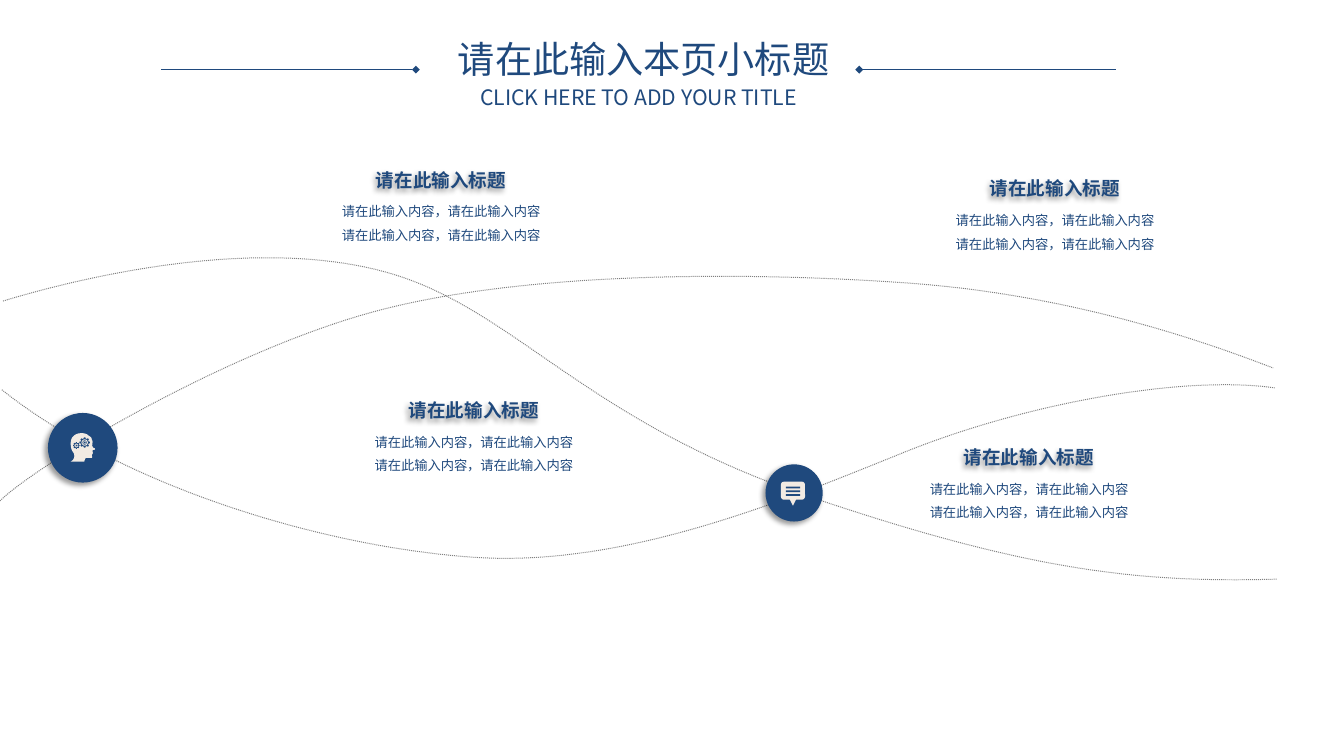
from math import cos, pi, sin

from lxml.etree import SubElement
from pptx import Presentation
from pptx.dml.color import RGBColor
from pptx.enum.dml import MSO_LINE
from pptx.enum.shapes import MSO_CONNECTOR, MSO_SHAPE
from pptx.enum.text import MSO_ANCHOR, PP_ALIGN
from pptx.oxml.ns import qn
from pptx.util import Cm, Pt

NAVY = RGBColor(0x1F, 0x49, 0x7D)
GRAY = RGBColor(0x80, 0x80, 0x80)
CREAM = RGBColor(0xF2, 0xEB, 0xE3)
CJK_FONT = "Noto Sans CJK SC"

# All lengths are in centimetres.
SLIDE_SIZE = (35.71, 20.09)
TITLE = "请在此输入本页小标题"
SUBTITLE = "CLICK HERE TO ADD YOUR TITLE"
TITLE_RULES = [(11.05, 4.27), (22.83, 29.64)]  # diamond end, plain end
RULE_Y = 1.85

HEADING = "请在此输入标题"
BODY = ["请在此输入内容，请在此输入内容"] * 2
TOPICS = [(12.59, 10.54), (11.72, 4.42), (28.03, 4.65), (27.34, 11.79)]  # centre x, top

# Each curve is a start point followed by (control, control, end) triples.
WAVES = [
    [(0.05, 10.36), (3.28, 12.93), (8.56, 14.53), (12.57, 14.81),
     (16.59, 15.09), (20.83, 13.31), (24.05, 12.01),
     (27.25, 10.72), (31.45, 9.96), (33.88, 10.31)],
    [(0.08, 8), (1.93, 7.44), (6.43, 6.3), (9.98, 7.16),
     (13.51, 8), (15.29, 11.05), (21.31, 13.13),
     (27.33, 15.19), (30.28, 15.49), (33.93, 15.39)],
    [(0, 13.31), (1.07, 12.27), (6.43, 9.09), (10.46, 8.15),
     (14.48, 7.19), (20.19, 7.24), (24.1, 7.52),
     (27.99, 7.8), (31.27, 8.79), (33.83, 9.78)],
]
NODES = [(2.2, 11.9, 1.85), (21.1, 13.1, 1.52)]  # centre x, centre y, diameter

HEAD = [
    (2.51, 11.91), (2.49, 11.91), (2.46, 11.89), (2.46, 11.86),
    (2.44, 11.84), (2.46, 11.81), (2.46, 11.76),
    (2.46, 11.73), (2.46, 11.71), (2.44, 11.68),
    (2.44, 11.63), (2.41, 11.61), (2.36, 11.58),
    (2.31, 11.53), (2.24, 11.51), (2.16, 11.51),
    (2.01, 11.51), (1.88, 11.61), (1.88, 11.76),
    (1.88, 11.86), (1.88, 11.94), (1.96, 12.04),
    (1.96, 12.04), (2.03, 12.19), (1.88, 12.27),
    (1.88, 12.27), (2.24, 12.27), (2.24, 12.27),
    (2.24, 12.27), (2.26, 12.17), (2.29, 12.17),
    (2.34, 12.17), (2.38, 12.17), (2.44, 12.17),
    (2.46, 12.17), (2.44, 12.09), (2.44, 12.09),
    (2.46, 12.07), (2.48, 12.04), (2.46, 12.01),
    (2.46, 11.99), (2.46, 11.96), (2.46, 11.96),
    (2.57, 11.96), (2.51, 11.91), (2.51, 11.91),
]
GEARS = [(2.25, 11.76, 0.14, (0.085, 0.04)), (2.03, 11.84, 0.09, (0.05, 0.03))]
BUBBLE = (20.75, 12.8, 0.64, 0.48)
BUBBLE_TAIL = [(20.98, 13.26), (21.16, 13.26), (21.07, 13.44)]
BUBBLE_BARS = [(20.88, 12.93 + 0.1 * row, 0.38, 0.05) for row in range(3)]


def trace_curve(points, steps):
    """Return points along a chain of cubic Bezier curves."""
    traced = [points[0]]
    for first in range(0, len(points) - 1, 3):
        corners = points[first:first + 4]
        for step in range(1, steps + 1):
            t = step / steps
            weights = ((1 - t) ** 3, 3 * t * (1 - t) ** 2, 3 * t * t * (1 - t), t ** 3)
            traced.append(tuple(sum(w * corner[axis] for w, corner in zip(weights, corners))
                                for axis in (0, 1)))
    return traced


def gear_outline(x, y, radius, teeth=8):
    outline = []
    for tooth in range(teeth):
        for turn, reach in ((-0.3, 0.78), (-0.18, 1), (0.18, 1), (0.3, 0.78)):
            angle = 2 * pi * (tooth + turn) / teeth
            outline.append((x + radius * reach * cos(angle), y + radius * reach * sin(angle)))
    return outline


def paint(shape, color):
    shape.shadow.inherit = False
    shape.fill.solid()
    shape.fill.fore_color.rgb = color
    shape.line.fill.background()
    return shape


def add_outline(shapes, points, close=True):
    (start_x, start_y), *rest = [(Cm(x), Cm(y)) for x, y in points]
    builder = shapes.build_freeform(start_x, start_y)
    builder.add_line_segments(rest, close=close)
    return builder.convert_to_shape()


def add_preset(shapes, kind, box, color):
    return paint(shapes.add_shape(kind, *map(Cm, box)), color)


def round_box(x, y, radius):
    return x - radius, y - radius, 2 * radius, 2 * radius


def add_drop_shadow(shape):
    shape.shadow.inherit = False
    effects = shape._element.spPr.find(qn("a:effectLst"))
    shadow = SubElement(effects, qn("a:outerShdw"), blurRad=str(Pt(4)), dist=str(Pt(3)),
                        dir="8100000", algn="tr", rotWithShape="0")
    tint = SubElement(shadow, qn("a:prstClr"), val="black")
    SubElement(tint, qn("a:alpha"), val="40000")


def add_text(shapes, lines, center_x, top, width, height, size, font,
             spacing=1.0, bold=False, anchor=MSO_ANCHOR.MIDDLE):
    box = shapes.add_textbox(Cm(center_x - width / 2), Cm(top), Cm(width), Cm(height))
    frame = box.text_frame
    frame.word_wrap = True
    frame.vertical_anchor = anchor
    frame.text = "\n".join(lines)
    for paragraph in frame.paragraphs:
        paragraph.alignment = PP_ALIGN.CENTER
        paragraph.line_spacing = spacing
        paragraph.font.size = Pt(size)
        paragraph.font.bold = bold
        paragraph.font.color.rgb = NAVY
        paragraph.font.name = font
        defaults = paragraph._p.pPr.find(qn("a:defRPr"))
        SubElement(defaults, qn("a:ea"), typeface=CJK_FONT)
    return box


def add_title_rule(shapes, diamond_x, plain_x):
    rule = shapes.add_connector(MSO_CONNECTOR.STRAIGHT, Cm(diamond_x), Cm(RULE_Y),
                                Cm(plain_x), Cm(RULE_Y))
    rule.line.color.rgb = NAVY
    rule.line.width = Pt(0.25)
    SubElement(rule.line._get_or_add_ln(), qn("a:headEnd"), type="diamond")
    SubElement(rule._element.spPr, qn("a:effectLst"))


def add_head_icon(shapes):
    icon = shapes.add_group_shape().shapes
    paint(add_outline(icon, trace_curve(HEAD, 6)), CREAM)
    for x, y, radius, rings in GEARS:
        paint(add_outline(icon, gear_outline(x, y, radius)), NAVY)
        for ring in rings:
            donut = add_preset(icon, MSO_SHAPE.DONUT, round_box(x, y, ring), CREAM)
            donut.adjustments[0] = 0.15


def add_bubble_icon(shapes):
    icon = shapes.add_group_shape().shapes
    paint(add_outline(icon, BUBBLE_TAIL), CREAM)
    add_preset(icon, MSO_SHAPE.ROUNDED_RECTANGLE, BUBBLE, CREAM)
    for bar in BUBBLE_BARS:
        add_preset(icon, MSO_SHAPE.RECTANGLE, bar, NAVY)


def main():
    deck = Presentation()
    deck.slide_width, deck.slide_height = map(Cm, SLIDE_SIZE)
    shapes = deck.slides.add_slide(deck.slide_layouts[6]).shapes

    for points in WAVES:
        wave = add_outline(shapes, trace_curve(points, 40), close=False)
        wave.shadow.inherit = False
        wave.fill.background()
        wave.line.color.rgb = GRAY
        wave.line.width = Pt(0.75)
        wave.line.dash_style = MSO_LINE.ROUND_DOT

    for x, y, diameter in NODES:
        add_drop_shadow(add_preset(shapes, MSO_SHAPE.OVAL, round_box(x, y, diameter / 2), NAVY))
    add_bubble_icon(shapes)
    add_head_icon(shapes)

    for center_x, top in TOPICS:
        add_drop_shadow(add_text(shapes, [HEADING], center_x, top, 4.24, 0.71, 14,
                                 "Calibri", bold=True))
        add_text(shapes, BODY, center_x, top + 0.65, 6.2, 1.55, 10, "Arial",
                 spacing=1.5, anchor=MSO_ANCHOR.TOP)

    for diamond_x, plain_x in TITLE_RULES:
        add_title_rule(shapes, diamond_x, plain_x)
    add_text(shapes, [SUBTITLE], 16.97, 2.03, 13.11, 1.19, 16, CJK_FONT, spacing=0.9)
    add_text(shapes, [TITLE], 17.1, 1.04, 15.57, 1.19, 28, "Arial", spacing=0.9)

    deck.save("out.pptx")


if __name__ == "__main__":
    main()
